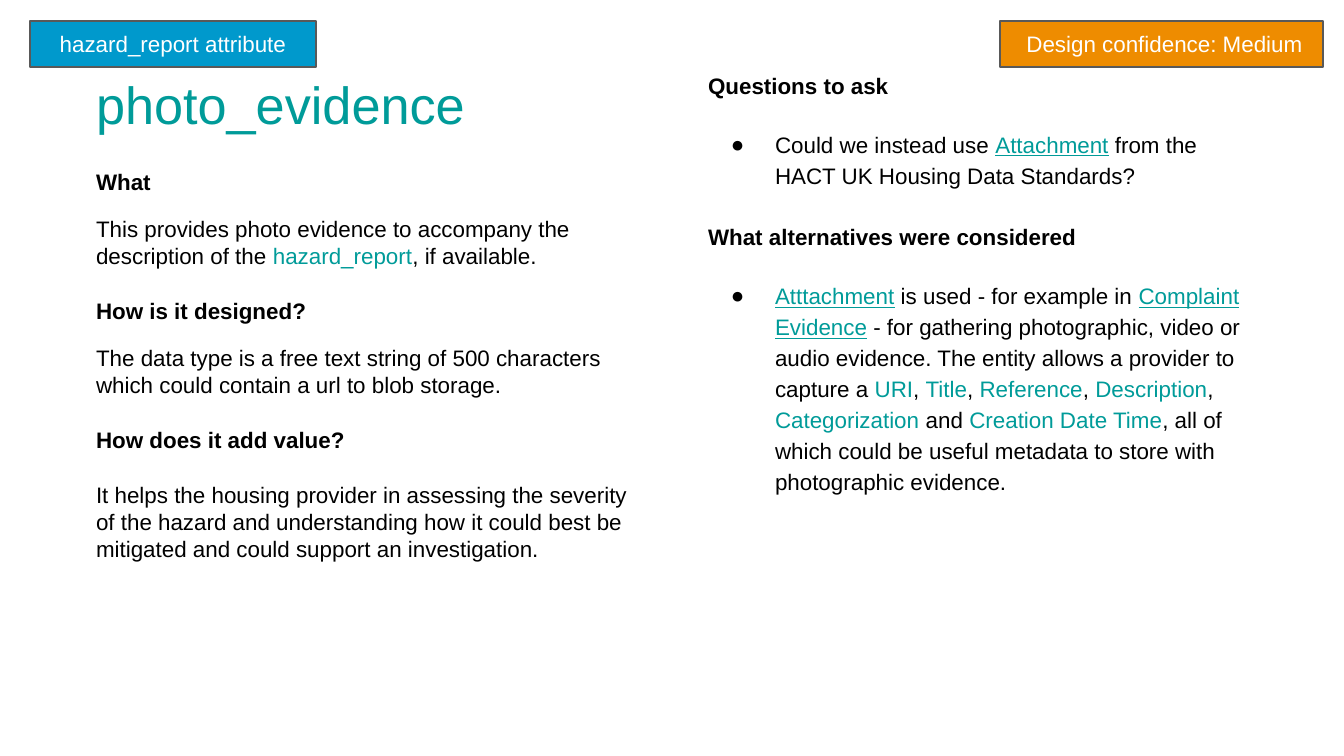
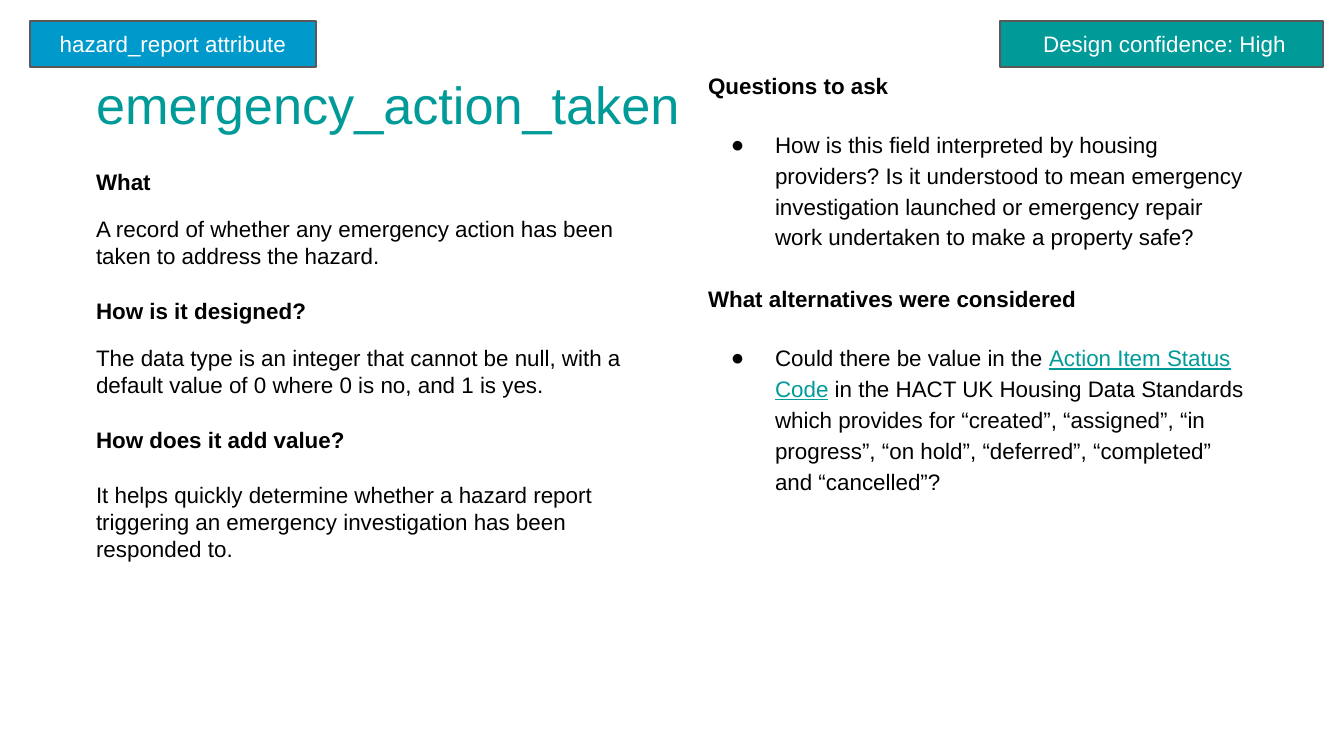
from lxml import etree
from pptx import Presentation
from pptx.dml.color import RGBColor
from pptx.enum.shapes import MSO_SHAPE
from pptx.enum.text import MSO_ANCHOR, MSO_AUTO_SIZE, PP_ALIGN
from pptx.oxml.ns import qn
from pptx.util import Emu, Pt

RECTANGLE = MSO_SHAPE.RECTANGLE
TOP, MIDDLE = MSO_ANCHOR.TOP, MSO_ANCHOR.MIDDLE
NO_FIT = MSO_AUTO_SIZE.NONE
LEFT, CENTER = PP_ALIGN.LEFT, PP_ALIGN.CENTER

PX_PER_INCH = 134.4
EMU_PER_PX = 914400 / PX_PER_INCH
SLIDE_SIZE = (1344, 756)
TWO_CONTENT_LAYOUT = 3
INSET = 13
BULLET_MARGIN, BULLET_HANG = 67, -44

TEAL, BLUE, ORANGE = "009B99", "0099CC", "EE8C00"
BLACK, WHITE, GREY = "000000", "FFFFFF", "595959"

TITLE_AREA = (83, 59, 629, 85)
DESCRIPTION_AREA = (83, 155, 563, 462)
REVIEW_AREA = (695, 59, 563, 448)
CONFIDENCE_AREA = (1000, 21, 323, 46)
ATTRIBUTE_AREA = (30, 21, 286, 46)

TITLE_FONT = {"name": "Arial", "size": Pt(28), "bold": False}
TEXT_FONT = {"name": "Arial", "size": Pt(12), "bold": False}
HEADING_FONT = {**TEXT_FONT, "bold": True}
LINK_FONT = {**TEXT_FONT, "underline": True}

DESCRIPTION_HEADINGS = ("What", "How is it designed?", "How does it add value?")
HEADING_GAPS = (0, 15, 15)
ANSWER_GAPS = (11, 11, 15)
REVIEW_HEADINGS = ("Questions to ask", "What alternatives were considered")
REVIEW_GAPS = (0, 16.5)
REVIEW_SPACING = (1, 1.15)

CONFIDENCE_COLORS = {"Medium": ORANGE, "High": TEAL}


def px(length):
    return Emu(round(length * EMU_PER_PX))


def rgb(color):
    return RGBColor.from_string(color)


def set_attributes(target, values):
    for name, value in values.items():
        setattr(target, name, value)


def term(text):
    return text, TEXT_FONT, TEAL


def link(text):
    return text, LINK_FONT, TEAL


def plain(text):
    return text, TEXT_FONT, BLACK


def heading(text):
    return text, HEADING_FONT, BLACK


def place(box, area):
    set_attributes(box, dict(zip(("left", "top", "width", "height"), map(px, area))))


def prepare_frame(box, anchor):
    frame = box.text_frame
    margins = ("margin_left", "margin_top", "margin_right", "margin_bottom")
    set_attributes(frame, dict.fromkeys(margins, px(INSET)))
    set_attributes(frame, {"word_wrap": True, "auto_size": NO_FIT, "vertical_anchor": anchor})
    return frame


def set_bullet(para, bulleted):
    properties = para._p.get_or_add_pPr()
    properties.set("marL", str(px(BULLET_MARGIN if bulleted else 0)))
    properties.set("indent", str(px(BULLET_HANG if bulleted else 0)))
    if not bulleted:
        etree.SubElement(properties, qn("a:buNone"))
        return
    color = etree.SubElement(properties, qn("a:buClr"))
    etree.SubElement(color, qn("a:srgbClr"), val=BLACK)
    etree.SubElement(properties, qn("a:buFont"), typeface="Arial")
    etree.SubElement(properties, qn("a:buChar"), char="●")


def write_para(para, spans, gap=0, spacing=1, bulleted=False, align=LEFT):
    set_bullet(para, bulleted)
    set_attributes(para, {"space_before": Pt(gap), "line_spacing": spacing, "alignment": align})
    for text, font, color in spans:
        span = para.add_run()
        span.text = text
        set_attributes(span.font, font)
        span.font.color.rgb = rgb(color)


def write_list(box, area, rows):
    place(box, area)
    frame = prepare_frame(box, TOP)
    for index, row in enumerate(rows):
        para = frame.add_paragraph() if index else frame.paragraphs[0]
        write_para(para, **row)


def description_rows(answers):
    rows = []
    for title, spans, before, gap in zip(DESCRIPTION_HEADINGS, answers, HEADING_GAPS, ANSWER_GAPS):
        rows.append({"spans": [heading(title)], "gap": before})
        rows.append({"spans": spans, "gap": gap})
    return rows


def review_rows(points):
    rows = []
    for title, spans, gap, spacing in zip(REVIEW_HEADINGS, points, REVIEW_GAPS, REVIEW_SPACING):
        rows.append({"spans": [heading(title)], "gap": gap, "spacing": spacing})
        rows.append({"spans": spans, "gap": 15, "spacing": 1.15, "bulleted": True})
    return rows


def add_badge(page, area, text, color):
    badge = page.shapes.add_shape(RECTANGLE, *map(px, area))
    badge.shadow.inherit = False
    badge.fill.solid()
    badge.fill.fore_color.rgb = rgb(color)
    badge.line.color.rgb = rgb(GREY)
    badge.line.width = Pt(0.75)
    frame = prepare_frame(badge, MIDDLE)
    write_para(frame.paragraphs[0], [(text, TEXT_FONT, WHITE)], align=CENTER)


def add_attribute_page(deck, name, confidence, answers, points):
    page = deck.slides.add_slide(deck.slide_layouts[TWO_CONTENT_LAYOUT])
    title, description, review = page.placeholders
    write_list(title, TITLE_AREA, [{"spans": [(name, TITLE_FONT, TEAL)]}])
    write_list(description, DESCRIPTION_AREA, description_rows(answers))
    write_list(review, REVIEW_AREA, review_rows(points))
    add_badge(page, CONFIDENCE_AREA, f" Design confidence: {confidence}", CONFIDENCE_COLORS[confidence])
    add_badge(page, ATTRIBUTE_AREA, "hazard_report attribute", BLUE)


def main():
    deck = Presentation()
    deck.slide_width, deck.slide_height = map(px, SLIDE_SIZE)
    add_attribute_page(
        deck, "photo_evidence", "Medium",
        answers=[
            [plain("This provides photo evidence to accompany the description of the "),
             term("hazard_report"), plain(", if available.")],
            [plain("The data type is a free text string of 500 characters "
                   "which could contain a url to blob storage.")],
            [plain("It helps the housing provider in assessing the severity of the hazard and "
                   "understanding how it could best be mitigated and could support an investigation.")],
        ],
        points=[
            [plain("Could we instead use "), link("Attachment"),
             plain(" from the HACT UK Housing Data Standards?")],
            [link("Atttachment"), plain(" is used - for example in "), link("Complaint Evidence"),
             plain(" - for gathering photographic, video or audio evidence. "
                   "The entity allows a provider to capture a "),
             term("URI"), plain(", "), term("Title"), plain(", "), term("Reference"), plain(", "),
             term("Description"), plain(", "), term("Categorization"), plain(" and "),
             term("Creation Date Time"),
             plain(", all of which could be useful metadata to store with photographic evidence.")],
        ],
    )
    add_attribute_page(
        deck, "emergency_action_taken", "High",
        answers=[
            [plain("A record of whether any emergency action has been taken to address the hazard.")],
            [plain("The data type is an integer that cannot be null, with a default value of 0 "
                   "where 0 is no, and 1 is yes.")],
            [plain("It helps quickly determine whether a hazard report triggering an emergency "
                   "investigation has been responded to.")],
        ],
        points=[
            [plain("How is this field interpreted by housing providers? Is it understood to mean "
                   "emergency investigation launched or emergency repair work undertaken to make "
                   "a property safe?")],
            [plain("Could there be value in the "), link("Action Item Status Code"),
             plain(" in the HACT UK Housing Data Standards which provides for “created”, “assigned”, "
                   "“in progress”, “on hold”, “deferred”, “completed” and “cancelled”?")],
        ],
    )
    deck.save("out.pptx")


if __name__ == "__main__":
    main()
